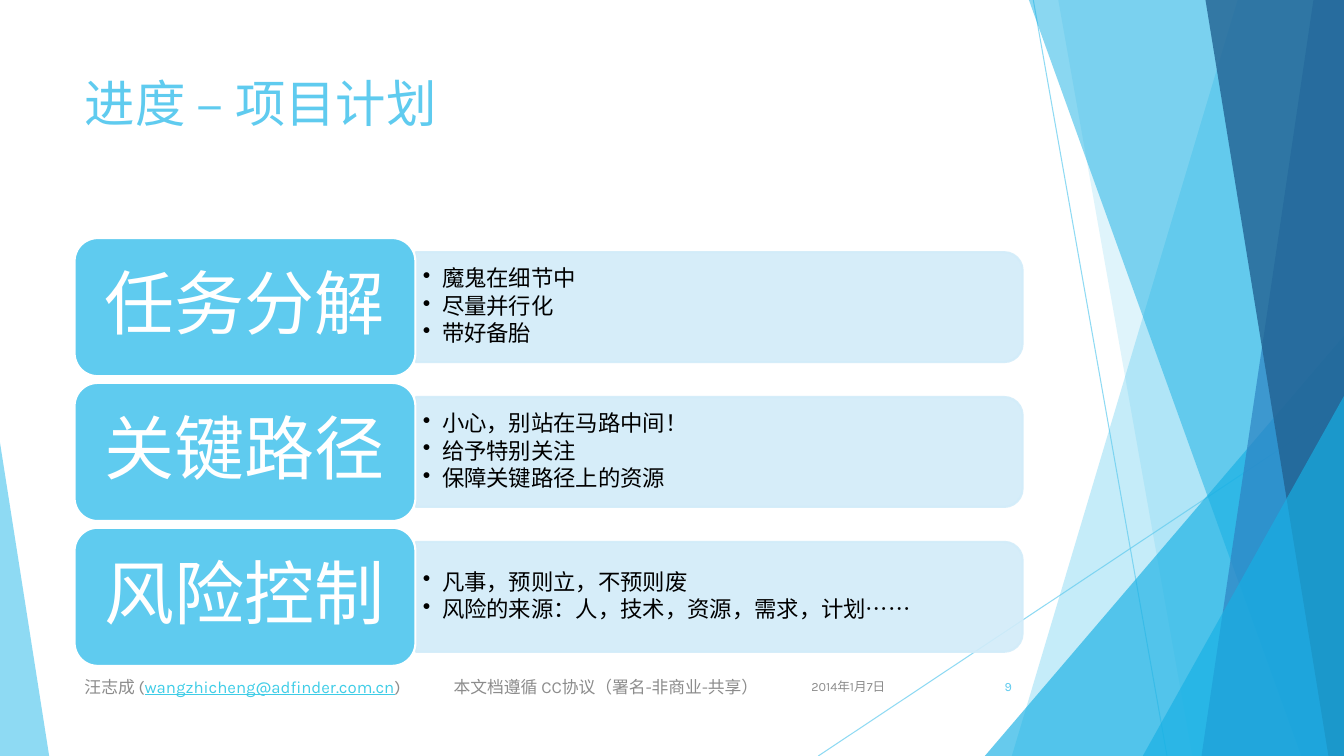
"""Build the project plan slide with three labelled rows of bullets."""
import lxml.etree
import pptx
import pptx.dml.color
import pptx.enum.shapes
import pptx.enum.text
import pptx.oxml.ns
import pptx.util

Cm = pptx.util.Cm
Pt = pptx.util.Pt
RGB = pptx.dml.color.RGBColor
SHAPE = pptx.enum.shapes.MSO_SHAPE
ALIGN = pptx.enum.text.PP_ALIGN
ANCHOR = pptx.enum.text.MSO_ANCHOR
qn = pptx.oxml.ns.qn

SKY = RGB(0x5F, 0xCB, 0xEF)
CYAN = RGB(0x17, 0xB0, 0xE4)
BLUE = RGB(0x2E, 0x83, 0xC3)
NAVY = RGB(0x22, 0x62, 0x92)
PALE = RGB(0xD2, 0xEC, 0xF9)
LINK = RGB(0x3F, 0xCD, 0xE7)
GREY = RGB(0x8C, 0x8C, 0x8C)
WHITE = RGB(0xFF, 0xFF, 0xFF)
BLACK = RGB(0, 0, 0)

WIDTH, HEIGHT = 33.87, 19.05
LEFT = 1.88
ROW_MID, ROW_PITCH = 7.74, 3.65
FOOT_TOP, FOOT_HEIGHT = 16.79, 1.02

ROWS = [
    ("任务分解", ["魔鬼在细节中", "尽量并行化", "带好备胎"]),
    ("关键路径", ["小心，别站在马路中间！", "给予特别关注", "保障关键路径上的资源"]),
    ("风险控制", ["凡事，预则立，不预则废", "风险的来源：人，技术，资源，需求，计划……"]),
]


def set_format(obj, **fmt):
    """Set every given attribute on an object."""
    for name, value in fmt.items():
        setattr(obj, name, value)


def fade(sp, opacity):
    """Give all colours of a shape an opacity in percent."""
    for clr in sp._element.spPr.iter(qn("a:srgbClr")):
        lxml.etree.SubElement(clr, qn("a:alpha")).set("val", str(opacity * 1000))


def paint(sp, color, line=None):
    """Fill a shape and outline it only if a line colour is given."""
    sp.shadow.inherit = False
    sp.fill.solid()
    sp.fill.fore_color.rgb = color
    if line is None:
        sp.line.fill.background()
    else:
        sp.line.color.rgb = line
        sp.line.width = Pt(1.5)


def add_run(p, text, size, color, **fmt):
    """Append a formatted run to a paragraph."""
    r = p.add_run()
    r.text = text
    set_format(r.font, name="Karla", size=Pt(size), **fmt)
    r.font.color.rgb = color


def add_ray(s, start, end):
    """Draw a thin translucent line."""
    c = s.shapes.add_connector(pptx.enum.shapes.MSO_CONNECTOR.STRAIGHT,
                               *map(Cm, start + end))
    c.line.color.rgb = SKY
    c.line.width = Pt(0.75)
    fade(c, 70)
    lxml.etree.SubElement(c._element.spPr, qn("a:effectLst"))


def add_band(s, top_x, bottom_x, color, opacity):
    """Draw a full-height band that reaches the right slide edge."""
    points = [(WIDTH, 0), (WIDTH, HEIGHT), (bottom_x, HEIGHT)]
    builder = s.shapes.build_freeform(Cm(top_x), Cm(0))
    builder.add_line_segments([(Cm(x), Cm(y)) for x, y in points])
    sp = builder.convert_to_shape()
    paint(sp, color)
    fade(sp, opacity)


def add_corner(s, left, top, width, apex, color, opacity):
    """Draw a triangle standing on the bottom slide edge."""
    sp = s.shapes.add_shape(SHAPE.ISOSCELES_TRIANGLE, Cm(left), Cm(top),
                            Cm(width), Cm(HEIGHT - top))
    sp.adjustments[0] = apex
    paint(sp, color)
    fade(sp, opacity)


def add_text(s, left, top, width, height, align=ALIGN.LEFT):
    """Add a wrapping, vertically centred text box and return its frame."""
    tf = s.shapes.add_textbox(Cm(left), Cm(top), Cm(width), Cm(height)).text_frame
    set_format(tf, word_wrap=True, vertical_anchor=ANCHOR.MIDDLE)
    tf.paragraphs[0].alignment = align
    return tf


def add_bullet(p, text):
    """Turn a paragraph into a bulleted line."""
    set_format(p, line_spacing=0.9, space_after=Pt(2.4))
    pPr = p._p.get_or_add_pPr()
    pPr.set("marL", str(Cm(0.48)))
    pPr.set("indent", str(-Cm(0.48)))
    lxml.etree.SubElement(pPr, qn("a:buChar")).set("char", "•")
    add_run(p, text, 16, BLACK)


def add_row(s, mid, label, points):
    """Draw a label block and its panel of bullets around a middle line."""
    left, length, depth = 10.48, 15.29, 2.77
    panel = s.shapes.add_shape(
        SHAPE.ROUND_2_SAME_RECTANGLE, Cm(left + (length - depth) / 2),
        Cm(mid - length / 2), Cm(depth), Cm(length))
    panel.rotation = 90
    paint(panel, PALE, PALE)
    fade(panel, 90)

    tf = add_text(s, left, mid - 1.25, 15.14, 2.5)
    set_format(tf, margin_left=Cm(0.18), margin_right=Cm(0.18),
               margin_top=Cm(0.09), margin_bottom=Cm(0.09))
    for i, text in enumerate(points):
        add_bullet(tf.add_paragraph() if i else tf.paragraphs[0], text)

    block = s.shapes.add_shape(SHAPE.ROUNDED_RECTANGLE, Cm(LEFT), Cm(mid - 1.74),
                               Cm(8.59), Cm(3.48))
    paint(block, SKY, WHITE)
    set_format(block.text_frame, word_wrap=True, vertical_anchor=ANCHOR.MIDDLE,
               margin_left=Cm(0.53), margin_right=Cm(0.53))
    p = block.text_frame.paragraphs[0]
    set_format(p, alignment=ALIGN.CENTER, line_spacing=0.9)
    add_run(p, label, 50, WHITE)


def add_title(s, text):
    """Place and format the title placeholder."""
    sp = s.shapes.title
    set_format(sp, left=Cm(LEFT), top=Cm(1.7), width=Cm(23.88), height=Cm(3.66))
    set_format(sp.text_frame, word_wrap=True, vertical_anchor=ANCHOR.TOP)
    p = sp.text_frame.paragraphs[0]
    p.alignment = ALIGN.LEFT
    add_run(p, text, 36, SKY)


def add_footer(s):
    """Add the date, the page number and the author line."""
    for left, width, text, color in [(20.02, 2.54, "2014年1月7日", GREY),
                                     (23.85, 1.9, "9", SKY)]:
        tf = add_text(s, left, FOOT_TOP, width, FOOT_HEIGHT, ALIGN.RIGHT)
        add_run(tf.paragraphs[0], text, 9, color)
    p = add_text(s, LEFT, FOOT_TOP, 17.5, FOOT_HEIGHT).paragraphs[0]
    tabs = lxml.etree.SubElement(p._p.get_or_add_pPr(), qn("a:tabLst"))
    tab = lxml.etree.SubElement(tabs, qn("a:tab"))
    tab.set("pos", str(Cm(9.3)))
    tab.set("algn", "l")
    add_run(p, "汪志成 (", 12, GREY)
    add_run(p, "wangzhicheng@adfinder.com.cn", 12, LINK, underline=True)
    add_run(p, ")\t本文档遵循 CC协议（署名-非商业-共享）", 12, GREY)


def add_backdrop(s):
    """Draw the overlapping facets at the slide edges."""
    add_ray(s, (26.04, 0), (29.41, HEIGHT))
    add_ray(s, (WIDTH, 10.24), (20.62, HEIGHT))
    add_band(s, 31.19, 25.5, SKY, 36)
    add_band(s, 26.67, 30.05, SKY, 20)
    add_corner(s, 24.82, 8.46, WIDTH - 24.82, 1, CYAN, 66)
    add_band(s, 25.93, 32.79, CYAN, 50)
    add_band(s, 33.1, 30.28, BLUE, 70)
    add_band(s, 30.38, 33.48, NAVY, 80)
    add_corner(s, 28.8, 9.98, WIDTH - 28.8, 1, CYAN, 66)
    add_corner(s, 0, 11.15, 1.24, 0, SKY, 70)


def main():
    """Build and save the slide."""
    prs = pptx.Presentation()
    set_format(prs, slide_width=Cm(WIDTH), slide_height=Cm(HEIGHT))
    s = prs.slides.add_slide(prs.slide_layouts[5])
    add_backdrop(s)
    add_title(s, "进度 – 项目计划")
    for i, (label, points) in enumerate(ROWS):
        add_row(s, ROW_MID + i * ROW_PITCH, label, points)
    add_footer(s)
    prs.save("out.pptx")


if __name__ == "__main__":
    main()
